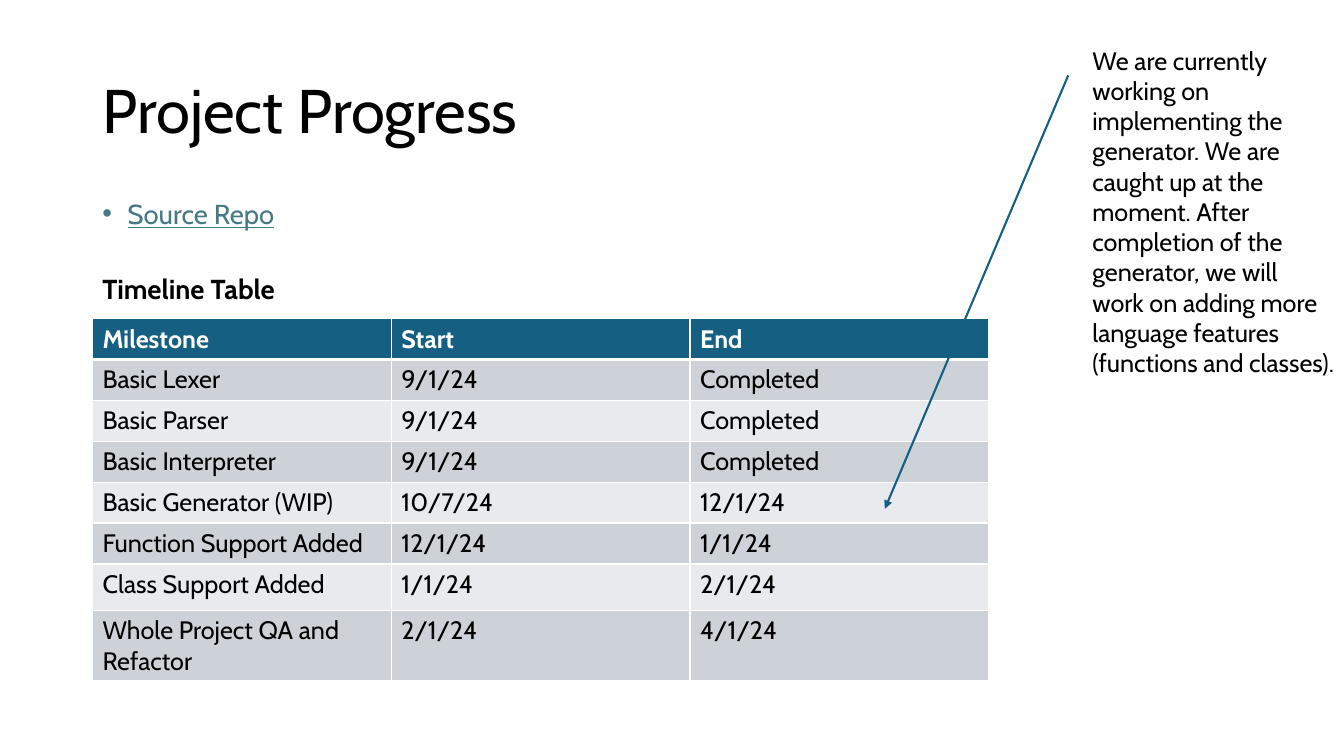
from lxml import etree
from pptx import Presentation
from pptx.dml.color import RGBColor
from pptx.enum.shapes import MSO_CONNECTOR
from pptx.enum.text import MSO_ANCHOR, PP_ALIGN
from pptx.oxml.ns import qn
from pptx.util import Cm, Pt

STRAIGHT = MSO_CONNECTOR.STRAIGHT
MIDDLE = MSO_ANCHOR.MIDDLE
LEFT = PP_ALIGN.LEFT
TITLE_ONLY = 5

FONT = "Cabin"
BLACK, WHITE, BLUE, LINK = "000000", "FFFFFF", "156082", "467886"
BANDS = ("CCD2D8", "E8EAED")

MILESTONES = [
    ("Milestone", "Start", "End"),
    ("Basic Lexer", "9/1/24", "Completed"),
    ("Basic Parser", "9/1/24", "Completed"),
    ("Basic Interpreter", "9/1/24", "Completed"),
    ("Basic Generator (WIP)", "10/7/24", "12/1/24"),
    ("Function Support Added", "12/1/24", "1/1/24"),
    ("Class Support Added", "1/1/24", "2/1/24"),
    ("Whole Project QA and Refactor", "2/1/24", "4/1/24"),
]
ROW_HEIGHT, CLASS_ROW, CLASS_ROW_HEIGHT = 1.03, 6, 1.17
STATUS = (
    "We are currently working on implementing the generator. We are caught up "
    "at the moment. After completion of the generator, we will work on adding "
    "more language features (functions and classes)."
)


def color(value):
    """Turn a hex string into a colour."""
    return RGBColor.from_string(value)


def write(para, text, size, shade=BLACK, **extra):
    """Add a formatted span of text to a paragraph."""
    span = para.add_run()
    span.text = text
    formats = {"name": FONT, "size": Pt(size), **extra}
    for name, value in formats.items():
        setattr(span.font, name, value)
    span.font.color.rgb = color(shade)


def add_text_box(page, box):
    """Add a wrapping text box and return its text frame."""
    frame = page.shapes.add_textbox(*map(Cm, box)).text_frame
    frame.word_wrap = True
    return frame


def add_bullet(para, indent):
    """Give a paragraph a hanging round bullet."""
    properties = para._p.get_or_add_pPr()
    properties.set("marL", str(Cm(indent)))
    properties.set("indent", str(-Cm(indent)))
    etree.SubElement(properties, qn("a:buFont"), typeface="Arial")
    etree.SubElement(properties, qn("a:buChar"), char="•")


def fill_title(page, box):
    """Place and write the page title."""
    title = page.shapes.title
    for name, value in zip(("left", "top", "width", "height"), box):
        setattr(title, name, Cm(value))
    title.text_frame.vertical_anchor = MIDDLE
    para = title.text_frame.paragraphs[0]
    para.alignment = LEFT
    para.line_spacing = 0.9
    write(para, "Project Progress", 44)


def add_intro(page, box):
    """Add the repository bullet and the heading of the table."""
    frame = add_text_box(page, box)
    repo = frame.paragraphs[0]
    heading = frame.add_paragraph()
    add_bullet(repo, 0.64)
    repo.line_spacing = heading.line_spacing = 0.7
    heading.space_before = Pt(36.5)
    write(repo, "Source Repo", 19.6, LINK, underline=True)
    write(heading, "Timeline Table", 19.6, bold=True)


def add_borders(cell, bottom):
    """Draw white borders round a cell, with its own bottom width."""
    properties = cell._tc.get_or_add_tcPr()
    for side, width in (("L", 1), ("R", 1), ("T", 1), ("B", bottom)):
        line = etree.SubElement(properties, qn(f"a:ln{side}"), w=str(Pt(width)))
        fill = etree.SubElement(line, qn("a:solidFill"))
        etree.SubElement(fill, qn("a:srgbClr"), val=WHITE)


def add_timeline(page, box):
    """Add the milestone table with a header and banded rows."""
    shape = page.shapes.add_table(
        len(MILESTONES), len(MILESTONES[0]), *map(Cm, box)
    )
    table = shape.table
    for column in table.columns:
        column.width = Cm(box[2] / len(MILESTONES[0]))
    for index, entries in enumerate(MILESTONES):
        header = index == 0
        height = CLASS_ROW_HEIGHT if index == CLASS_ROW else ROW_HEIGHT
        table.rows[index].height = Cm(height)
        for cell, text in zip(table.rows[index].cells, entries):
            add_borders(cell, 3 if header else 1)
            cell.fill.solid()
            shade = BLUE if header else BANDS[(index - 1) % 2]
            cell.fill.fore_color.rgb = color(shade)
            write(cell.text_frame.paragraphs[0], text, 18,
                  WHITE if header else BLACK, bold=header)


def add_status(page, box):
    """Add the status note and its arrow to the generator row."""
    left, top = box[:2]
    write(add_text_box(page, box).paragraphs[0], STATUS, 18)
    ends = (left - 0.36, top + 0.89, left - 4.98, top + 11.81)
    arrow = page.shapes.add_connector(STRAIGHT, *map(Cm, ends))
    arrow.line.width = Pt(1.5)
    arrow.line.color.rgb = color(BLUE)
    etree.SubElement(arrow.line._get_or_add_ln(), qn("a:tailEnd"), type="triangle")
    etree.SubElement(arrow._element.spPr, qn("a:effectLst"))


def main():
    """Build the deck and save it."""
    deck = Presentation()
    deck.slide_width, deck.slide_height = Cm(33.87), Cm(19.05)
    page = deck.slides.add_slide(deck.slide_layouts[TITLE_ONLY])
    fill_title(page, (2.33, 1.01, 29.21, 3.68))
    add_intro(page, (2.33, 5.08, 29.21, 2.92))
    add_timeline(page, (2.33, 8.03, 22.59, 9.12))
    add_status(page, (27.28, 1.01, 6.59, 9.5))
    deck.save("out.pptx")


if __name__ == "__main__":
    main()
